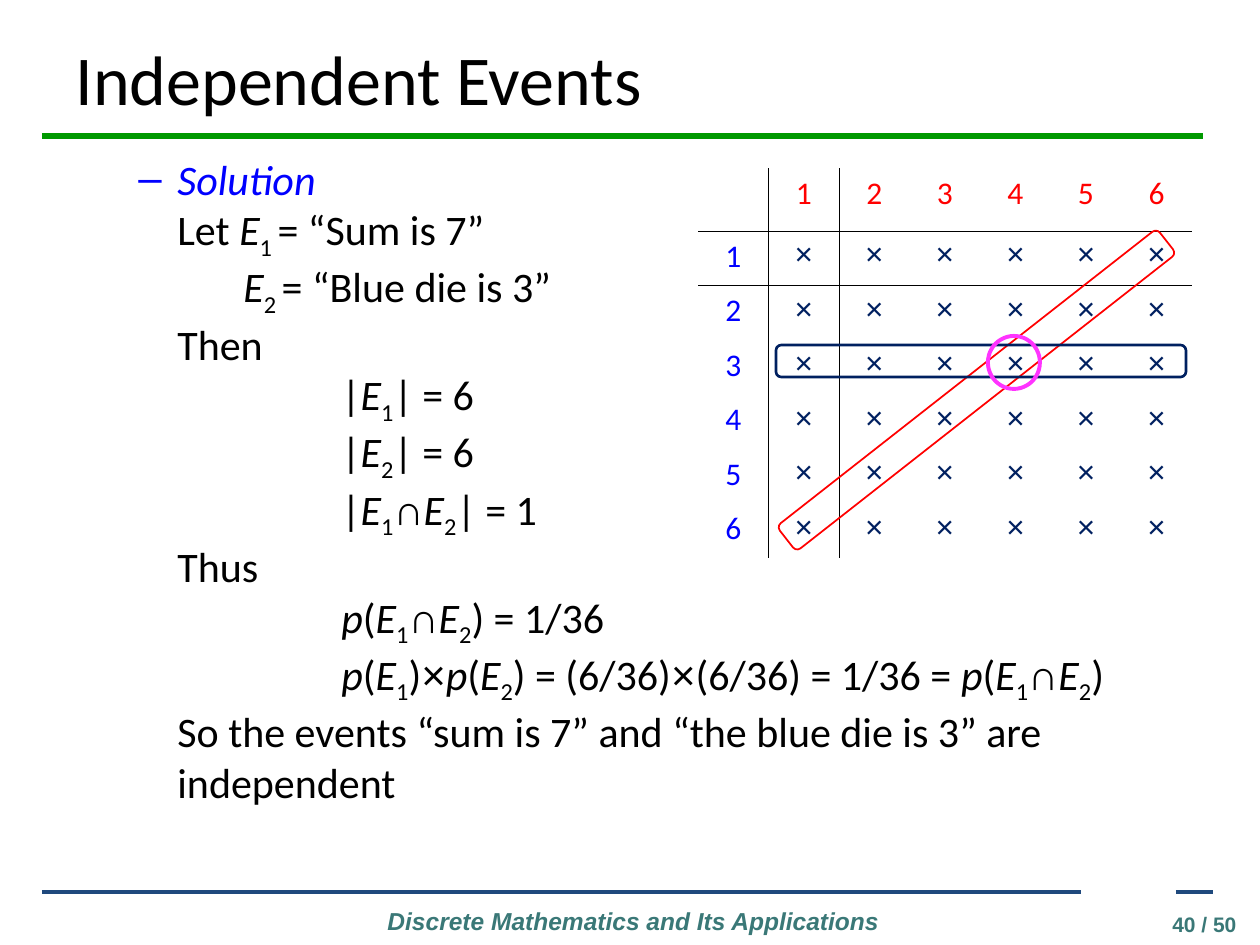
"""Builds the slide on independent events with its dice outcome table."""
from itertools import groupby

from lxml.etree import SubElement
from pptx import Presentation
from pptx.dml.color import RGBColor
from pptx.enum.shapes import MSO_CONNECTOR, MSO_SHAPE
from pptx.enum.text import MSO_ANCHOR, MSO_AUTO_SIZE, PP_ALIGN
from pptx.oxml.ns import qn
from pptx.util import Emu, Pt

PX = 914400 // 126
BLACK, BLUE, RED, NAVY = "000000", "0000FF", "FF0000", "002060"
RULE_BLUE, TEAL, GREEN, PINK = "1F497D", "3A7877", "009900", "FF33FF"
NO_STYLE = "{2D5ABB26-0587-4C30-8999-92F81FD0307C}"
TEXT, SECOND, FORMULA = 102, 168, 266
SOLUTION = [
    (TEXT, "Let *E*~1 ~= “Sum is 7”"),
    (SECOND, "*E*~2 ~= “Blue die is 3”"),
    (TEXT, "Then"),
    (FORMULA, "|*E*~1~| = 6"),
    (FORMULA, "|*E*~2~| = 6"),
    (FORMULA, "|*E*~1~∩*E*~2~| = 1"),
    (TEXT, "Thus"),
    (FORMULA, "*p*(*E*~1~∩*E*~2~) = 1/36"),
    (FORMULA, "*p*(*E*~1~)×*p*(*E*~2~) = (6/36)×(6/36) = 1/36 = *p*(*E*~1~∩*E*~2~)"),
    (TEXT, "So the events “sum is 7” and “the blue die is 3” are independent"),
]


def px(length):
    """Turn whole pixels into EMU."""
    return Emu(length * PX)


def rgb(value):
    """Turn a hex string into a colour."""
    return RGBColor.from_string(value)


def write(paragraph, text, size=24, color=BLACK, font="Calibri", bold=False,
          italic=False, subscript=False, align=PP_ALIGN.LEFT):
    """Add one formatted run."""
    paragraph.alignment = align
    run = paragraph.add_run()
    run.text = text
    run.font.size, run.font.name = Pt(size), font
    run.font.bold, run.font.italic = bold, italic
    run.font.color.rgb = rgb(color)
    if subscript:
        run.font._element.set("baseline", "-25000")


def write_math(paragraph, markup):
    """Add text in which * encloses italics and ~ encloses subscripts."""
    for i, part in enumerate(markup.split("*")):
        for j, piece in enumerate(part.split("~")):
            for symbol, chars in groupby(piece, lambda char: char in "∩×"):
                write(paragraph, "".join(chars), italic=i % 2 == 1,
                      subscript=j % 2 == 1, font="Arial" if symbol else "Calibri")


def indent(paragraph, left, hanging=0):
    """Set the left margin and hanging indent."""
    properties = paragraph._p.get_or_add_pPr()
    properties.set("marL", str(px(left)))
    properties.set("indent", str(px(-hanging)))
    return properties


def add_bullet(paragraph, char, color):
    """Give a paragraph a coloured bullet."""
    properties = indent(paragraph, TEXT, 39)
    SubElement(SubElement(properties, qn("a:buClr")), qn("a:srgbClr"), val=color)
    SubElement(properties, qn("a:buFont"), typeface="Arial")
    SubElement(properties, qn("a:buChar"), char=char)


def add_box(slide, *box):
    """Add a wrapping text box and return its text frame."""
    frame = slide.shapes.add_textbox(*map(px, box)).text_frame
    frame.word_wrap = True
    return frame


def add_title(slide, text):
    """Place and fill the title placeholder."""
    title = slide.shapes.title
    title.left, title.top, title.width, title.height = map(px, (63, 29, 1134, 97))
    frame = title.text_frame
    frame.auto_size = MSO_AUTO_SIZE.NONE
    frame.vertical_anchor = MSO_ANCHOR.MIDDLE
    write(frame.paragraphs[0], text, size=40)


def add_rule(slide, left, right, y, color, width):
    """Draw a horizontal rule."""
    rule = slide.shapes.add_connector(
        MSO_CONNECTOR.STRAIGHT, px(left), px(y), px(right), px(y))
    rule.line.color.rgb, rule.line.width = rgb(color), Pt(width)
    SubElement(rule._element.spPr, qn("a:effectLst"))


def add_outline(slide, kind, box, color, width, rotation=0):
    """Draw an unfilled shape."""
    shape = slide.shapes.add_shape(kind, *map(px, box))
    shape.shadow.inherit = False
    shape.fill.background()
    shape.line.color.rgb, shape.line.width = rgb(color), Pt(width)
    shape.rotation = rotation


def add_border(cell, side):
    """Draw a thin black border on one side of a cell."""
    line = SubElement(cell._tc.get_or_add_tcPr(), qn(f"a:ln{side}"), w=str(Pt(0.45)))
    SubElement(SubElement(line, qn("a:solidFill")), qn("a:srgbClr"), val=BLACK)


def add_outcomes(slide):
    """Add the table of outcomes of two dice."""
    table = slide.shapes.add_table(7, 7, *map(px, (698, 168, 494, 390))).table
    table.first_row = table.horz_banding = False
    table._tbl.tblPr.find(qn("a:tableStyleId")).text = NO_STYLE
    for column in table.columns:
        column.width = px(494) // 7
    for i, row in enumerate(table.rows):
        row.height = px(327) // 6 if i else px(63)
        for j, cell in enumerate(row.cells):
            sides = {"L": j == 1, "R": j == 0, "T": i == 1, "B": i == 0}
            for side in filter(sides.get, sides):
                add_border(cell, side)
            cell.fill.background()
            if i and j:
                text, color, font = "×", NAVY, "Arial"
            else:
                text, color, font = str(i or j or ""), BLUE if i else RED, "Calibri"
            if text:
                write(cell.text_frame.paragraphs[0], text, size=18, color=color,
                      font=font, align=PP_ALIGN.CENTER)


def add_solution(slide):
    """Write out the solution."""
    frame = add_box(slide, 63, 147, 1176, 667)
    heading = frame.paragraphs[0]
    add_bullet(heading, "–", BLUE)
    write(heading, "Solution", color=BLUE, italic=True)
    for left, markup in SOLUTION:
        paragraph = frame.add_paragraph()
        indent(paragraph, left)
        write_math(paragraph, markup)


def add_footer(slide):
    """Add the rules, the footer and the page number."""
    add_rule(slide, 42, 1203, 136, GREEN, 3)
    add_rule(slide, 42, 1081, 892, RULE_BLUE, 2.25)
    add_rule(slide, 1176, 1213, 892, RULE_BLUE, 2.25)
    write(add_box(slide, 357, 900, 553, 43).paragraphs[0],
          "Discrete Mathematics and Its Applications", size=14, color=TEAL,
          font="Arial", bold=True, italic=True, align=PP_ALIGN.CENTER)
    write(add_box(slide, 1120, 905, 129, 30).paragraphs[0], "40 / 50", size=12,
          color=TEAL, font="Arial", bold=True, align=PP_ALIGN.RIGHT)


def main():
    """Build and save the presentation."""
    presentation = Presentation()
    presentation.slide_width, presentation.slide_height = px(1260), px(945)
    slide = presentation.slides.add_slide(presentation.slide_layouts[5])
    add_footer(slide)
    add_title(slide, "Independent Events")
    add_solution(slide)
    add_outcomes(slide)
    rounded = MSO_SHAPE.ROUNDED_RECTANGLE
    add_outline(slide, rounded, (735, 374, 483, 32), RED, 1, rotation=321.9)
    add_outline(slide, rounded, (776, 345, 410, 32), NAVY, 1.5)
    add_outline(slide, MSO_SHAPE.OVAL, (988, 336, 52, 53), PINK, 2.25)
    presentation.save("out.pptx")


if __name__ == "__main__":
    main()
